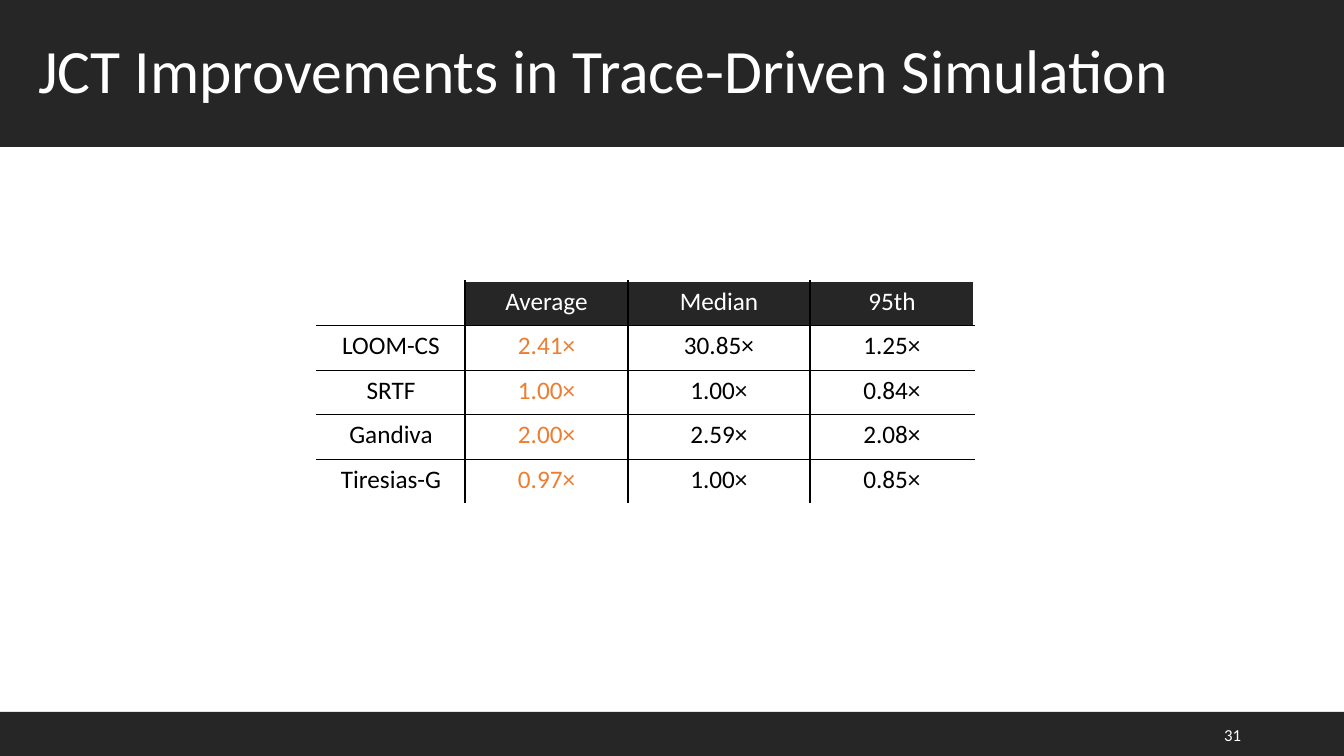
from lxml import etree
from pptx import Presentation
from pptx.dml.color import RGBColor
from pptx.enum.shapes import MSO_SHAPE
from pptx.enum.text import MSO_ANCHOR, MSO_AUTO_SIZE, PP_ALIGN
from pptx.oxml.ns import qn
from pptx.util import Pt

EMU_PER_PX = 914400 / 100.8
SLIDE_W, SLIDE_H = 1344, 756
TITLE_ONLY = 5
FONT = "Calibri"

CHARCOAL = RGBColor(0x26, 0x26, 0x26)
WHITE = RGBColor(0xFF, 0xFF, 0xFF)
BLACK = RGBColor(0x00, 0x00, 0x00)
ORANGE = RGBColor(0xED, 0x7D, 0x31)

LEFT, CENTER, RIGHT = PP_ALIGN.LEFT, PP_ALIGN.CENTER, PP_ALIGN.RIGHT
MIDDLE = MSO_ANCHOR.MIDDLE
NO_AUTOFIT = MSO_AUTO_SIZE.NONE
RECTANGLE = MSO_SHAPE.RECTANGLE

IMPROVEMENTS = [
    ("", "Average", "Median", "95th"),
    ("LOOM-CS", "2.41×", "30.85×", "1.25×"),
    ("SRTF", "1.00×", "1.00×", "0.84×"),
    ("Gandiva", "2.00×", "2.59×", "2.08×"),
    ("Tiresias-G", "0.97×", "1.00×", "0.85×"),
]
COLUMN_WIDTHS = (148, 163, 182, 164)
TABLE_HEIGHT = 223


def px(length):
    return round(length * EMU_PER_PX)


def write(frame, text, size=18, color=BLACK, align=LEFT, line_spacing=None):
    paragraph = frame.paragraphs[0]
    paragraph.alignment = align
    paragraph.line_spacing = line_spacing
    run = paragraph.add_run()
    run.text = text
    run.font.name = FONT
    run.font.size = Pt(size)
    run.font.bold = False
    run.font.color.rgb = color


def set_borders(cell, colors):
    """Draw 1 pt cell edges; colors run left, right, top, bottom."""
    properties = cell._tc.get_or_add_tcPr()
    for position, (side, color) in enumerate(zip("LRTB", colors)):
        edge = etree.Element(qn(f"a:ln{side}"), w=str(Pt(1)))
        fill = etree.SubElement(edge, qn("a:solidFill"))
        etree.SubElement(fill, qn("a:srgbClr"), val=str(color))
        properties.insert(position, edge)


class SlideBuilder:
    def __init__(self, slide):
        self.slide = slide

    def title(self, text, left, top, width, height, inset):
        title = self.slide.shapes.title
        title.left, title.top = px(left), px(top)
        title.width, title.height = px(width), px(height)
        title.fill.solid()
        title.fill.fore_color.rgb = CHARCOAL
        frame = title.text_frame
        frame.auto_size = NO_AUTOFIT
        frame.vertical_anchor = MIDDLE
        frame.margin_left = px(inset)
        write(frame, text, size=44, color=WHITE, line_spacing=0.9)

    def band(self, left, top, width, height):
        band = self.slide.shapes.add_shape(
            RECTANGLE, px(left), px(top), px(width), px(height))
        band.shadow.inherit = False
        band.fill.solid()
        band.fill.fore_color.rgb = CHARCOAL
        band.line.fill.background()

    def label(self, text, left, top, width, height, **style):
        frame = self.slide.shapes.add_textbox(
            px(left), px(top), px(width), px(height)).text_frame
        frame.word_wrap = True
        frame.vertical_anchor = MIDDLE
        write(frame, text, **style)

    def table(self, rows, left, top, widths, height):
        """Place a grid with black inner lines and white outer edges."""
        last_row, last_column = len(rows) - 1, len(widths) - 1
        table = self.slide.shapes.add_table(
            len(rows), len(widths), px(left), px(top),
            px(sum(widths)), px(height)).table
        table.first_row = table.horz_banding = False
        for column, width in zip(table.columns, widths):
            column.width = px(width)
        for r, values in enumerate(rows):
            table.rows[r].height = px(height / len(rows))
            for c, value in enumerate(values):
                cell = table.cell(r, c)
                header = r == 0 and c > 0
                cell.fill.solid()
                cell.fill.fore_color.rgb = CHARCOAL if header else WHITE
                outer = (c == 0, c == last_column, r == 0, r == last_row)
                set_borders(cell, [WHITE if edge else BLACK for edge in outer])
                if value:
                    color = WHITE if header else ORANGE if c == 1 else BLACK
                    write(cell.text_frame, value, color=color, align=CENTER)


def main():
    deck = Presentation()
    deck.slide_width, deck.slide_height = px(SLIDE_W), px(SLIDE_H)
    builder = SlideBuilder(deck.slides.add_slide(deck.slide_layouts[TITLE_ONLY]))
    builder.title("JCT Improvements in Trace-Driven Simulation",
                  0, 0, SLIDE_W, 147, inset=38)
    builder.band(0, 712, SLIDE_W, 44)
    builder.table(IMPROVEMENTS, 317, 281, COLUMN_WIDTHS, TABLE_HEIGHT)
    builder.label("31", 949, 715, 302, 40, size=12, color=WHITE, align=RIGHT)
    deck.save("out.pptx")


if __name__ == "__main__":
    main()
